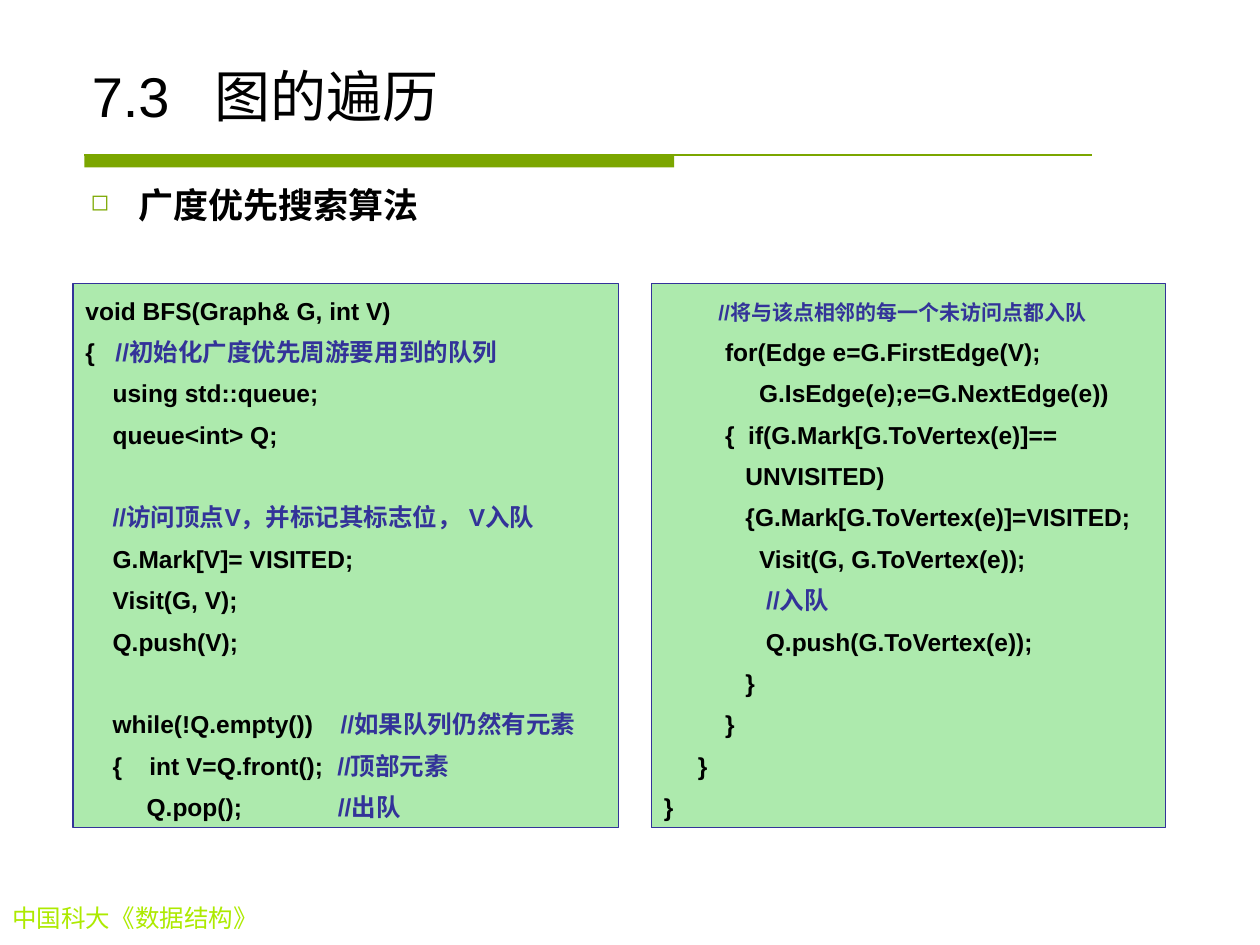
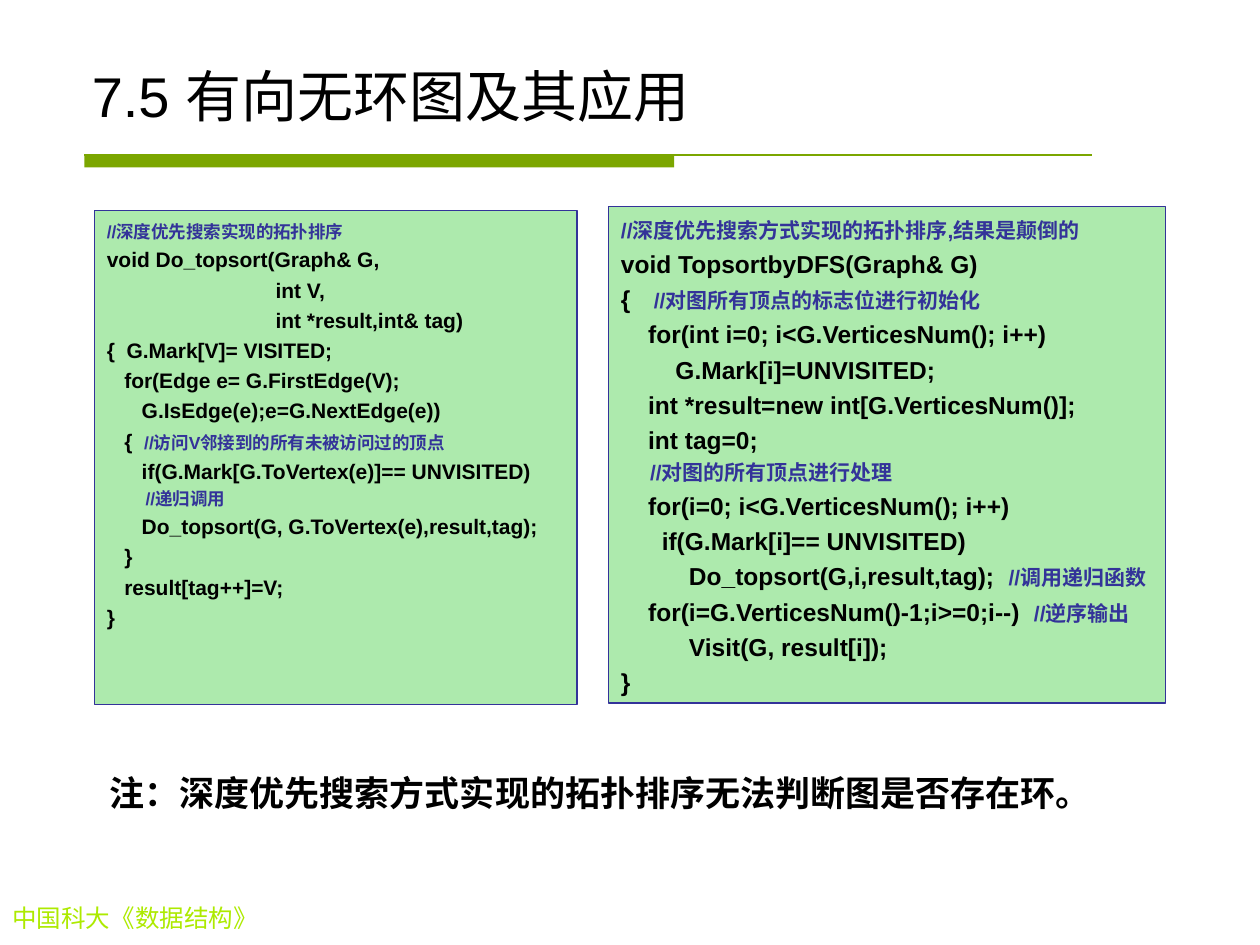
from dataclasses import dataclass

from lxml.etree import SubElement
from pptx import Presentation
from pptx.dml.color import RGBColor as RGB
from pptx.enum.shapes import MSO_CONNECTOR as CONN, MSO_SHAPE as SHAPE
from pptx.enum.text import MSO_ANCHOR as ANCHOR, PP_ALIGN as ALIGN
from pptx.oxml.ns import qn
from pptx.util import Inches, Pt


@dataclass(frozen=True)
class Theme:
    sans: str = "Arial"
    serif: str = "Times New Roman"
    cjk: str = "Noto Sans CJK SC"
    text: str = "000000"
    comment: str = "333399"
    band: str = "7BA600"
    bullet: str = "7CA800"
    footer: str = "ADEA00"
    panel: str = "33CC33"
    panel_alpha: int = 40
    title_size: float = 32
    body_size: float = 20
    code_size: float = 14
    small_size: float = 12
    tiny_size: float = 10
    code_spacing: float = 1.2
    font_height: float = 1.2
    line_width: float = 0.75


T = Theme()

# In the listings "|" marks where the comment run of a line begins.
BFS_START = """
void BFS(Graph& G, int V)
{   |//初始化广度优先周游要用到的队列
    using std::queue;
    queue<int> Q;

    |//访问顶点V，并标记其标志位， V入队
    G.Mark[V]= VISITED;
    Visit(G, V);
    Q.push(V);

    while(!Q.empty())    |//如果队列仍然有元素
    {    int V=Q.front();  |//顶部元素
         Q.pop();              |//出队
"""
BFS_END = """
        |//将与该点相邻的每一个未访问点都入队
         for(Edge e=G.FirstEdge(V);
              G.IsEdge(e);e=G.NextEdge(e))
         {  if(G.Mark[G.ToVertex(e)]==
            UNVISITED)
            {G.Mark[G.ToVertex(e)]=VISITED;
              Visit(G, G.ToVertex(e));
               |//入队
               Q.push(G.ToVertex(e));
            }
         }
     }
}
"""
DO_TOPSORT = """
|//深度优先搜索实现的拓扑排序
void Do_topsort(Graph& G,
                             int V,
                             int *result,int& tag)
{  G.Mark[V]= VISITED;
   for(Edge e= G.FirstEdge(V);
      G.IsEdge(e);e=G.NextEdge(e))
   {  |//访问V邻接到的所有未被访问过的顶点
      if(G.Mark[G.ToVertex(e)]== UNVISITED)
|        //递归调用
      Do_topsort(G, G.ToVertex(e),result,tag);
   }
   result[tag++]=V;
}
"""
TOPSORT_BY_DFS = """
|//深度优先搜索方式实现的拓扑排序,结果是颠倒的
void TopsortbyDFS(Graph& G)
{|    //对图所有顶点的标志位进行初始化
    for(int i=0; i<G.VerticesNum(); i++)
        G.Mark[i]=UNVISITED;
    int *result=new int[G.VerticesNum()];
    int tag=0;
|     //对图的所有顶点进行处理
    for(i=0; i<G.VerticesNum(); i++)
      if(G.Mark[i]== UNVISITED)
          Do_topsort(G,i,result,tag);  |//调用递归函数
    for(i=G.VerticesNum()-1;i>=0;i--)  |//逆序输出
          Visit(G, result[i]);
}
"""


def add_run(p, text, size, color=T.text, name=T.sans, east_asian=None, bold=False):
    r = p.add_run()
    r.text = text
    for key, value in dict(size=Pt(size), name=name, bold=bold).items():
        setattr(r.font, key, value)
    r.font.color.rgb = RGB.from_string(color)
    SubElement(r.font._element, qn("a:ea"), typeface=east_asian or name)


def add_text_box(slide, box, wrap=True, anchor=ANCHOR.TOP):
    """Add an empty text box and return its first paragraph."""
    tf = slide.shapes.add_textbox(*map(Inches, box)).text_frame
    tf.word_wrap, tf.vertical_anchor = wrap, anchor
    return tf.paragraphs[0]


def paint(sp, color):
    sp.shadow.inherit = False
    sp.fill.solid()
    sp.fill.fore_color.rgb = RGB.from_string(color)


def add_title(slide, box, text):
    p = add_text_box(slide, box, anchor=ANCHOR.BOTTOM)
    if "\t" in text:
        tabs = SubElement(p._p.get_or_add_pPr(), qn("a:tabLst"))
        SubElement(tabs, qn("a:tab"), pos=str(Inches(0.97)), algn="l")
    add_run(p, text, T.title_size)


def add_title_band(slide, box, thick_width):
    left, top, width, height = map(Inches, box)
    sp = slide.shapes.add_shape(SHAPE.RECTANGLE, left, top, Inches(thick_width), height)
    paint(sp, T.band)
    sp.line.fill.background()
    rule = slide.shapes.add_connector(CONN.STRAIGHT, left, top, left + width, top)
    rule.line.color.rgb = RGB.from_string(T.band)
    rule.line.width = Pt(T.line_width)
    SubElement(rule._element.spPr, qn("a:effectLst"))


def add_bullet(slide, box, text):
    p = add_text_box(slide, box)
    p.line_spacing = 0.8
    pPr = p._p.get_or_add_pPr()
    indent = Inches(0.38)
    pPr.set("marL", str(indent))
    pPr.set("indent", str(-indent))
    SubElement(SubElement(pPr, qn("a:buClr")), qn("a:srgbClr"), val=T.bullet)
    SubElement(pPr, qn("a:buSzPct"), val="65000")
    SubElement(pPr, qn("a:buChar"), char="◻")
    add_run(p, text, T.body_size, bold=True)


def add_code_panel(slide, box, code, size=T.code_size, comment_size=T.code_size,
                   first_comment_size=None, space=0):
    """Draw a listing; a blank source line becomes space before the next one."""
    sp = slide.shapes.add_shape(SHAPE.RECTANGLE, *map(Inches, box))
    paint(sp, T.panel)
    color = sp.fill._xPr.find(qn("a:solidFill"))[0]
    SubElement(color, qn("a:alpha"), val=str(T.panel_alpha * 1000))
    sp.line.color.rgb = RGB.from_string(T.comment)
    sp.line.width = Pt(T.line_width)
    tf = sp.text_frame
    tf.word_wrap, tf.vertical_anchor = True, ANCHOR.TOP

    pitch = size * T.font_height * T.code_spacing + space
    before = 0
    for i, line in enumerate(code.strip("\n").split("\n")):
        if not line:
            before += pitch
            continue
        p = tf.add_paragraph() if i else tf.paragraphs[0]
        p.alignment = ALIGN.LEFT
        p.line_spacing = T.code_spacing
        p.space_before = Pt(before)
        before = space
        statement, _, comment = line.partition("|")
        if statement:
            add_run(p, statement, size, bold=True)
        if comment:
            note_size = comment_size if i else first_comment_size or comment_size
            add_run(p, comment, note_size, T.comment, bold=True)


def add_base_slide(prs, title):
    """Add a slide with the title, band and footer that all slides share."""
    slide = prs.slides.add_slide(prs.slide_layouts[6])
    add_title_band(slide, (0.67, 1.23, 8, 0.1), thick_width=4.68)
    footer = add_text_box(slide, (0, 7.12, 3.11, 0.34))
    add_run(footer, "中国科大《数据结构》", T.code_size, T.footer, T.serif, T.cjk)
    add_title(slide, (0.63, 0.33, 8.75, 0.74), title)
    return slide


def add_bfs_slide(prs):
    slide = add_base_slide(prs, "7.3\t图的遍历")
    add_bullet(slide, (0.62, 1.47, 8.75, 0.62), "广度优先搜索算法")
    add_code_panel(slide, (0.58, 2.25, 4.33, 4.32), BFS_START, space=3.5)
    add_code_panel(slide, (5.17, 2.25, 4.08, 4.32), BFS_END, space=3.5,
                   first_comment_size=T.small_size)


def add_topsort_slide(prs):
    slide = add_base_slide(prs, "7.5 有向无环图及其应用")
    add_code_panel(slide, (0.75, 1.67, 3.83, 3.92), DO_TOPSORT,
                   size=T.small_size, comment_size=T.tiny_size)
    add_code_panel(slide, (4.83, 1.64, 4.42, 3.94), TOPSORT_BY_DFS,
                   comment_size=T.small_size)
    note = add_text_box(slide, (0.77, 6.07, 7.99, 0.44), wrap=False)
    add_run(note, "注：深度优先搜索方式实现的拓扑排序无法判断图是否存在环。",
            T.body_size, name=T.cjk, bold=True)


def main():
    prs = Presentation()
    prs.slide_width, prs.slide_height = Inches(10), Inches(7.5)
    add_bfs_slide(prs)
    add_topsort_slide(prs)
    prs.save("out.pptx")


if __name__ == "__main__":
    main()
